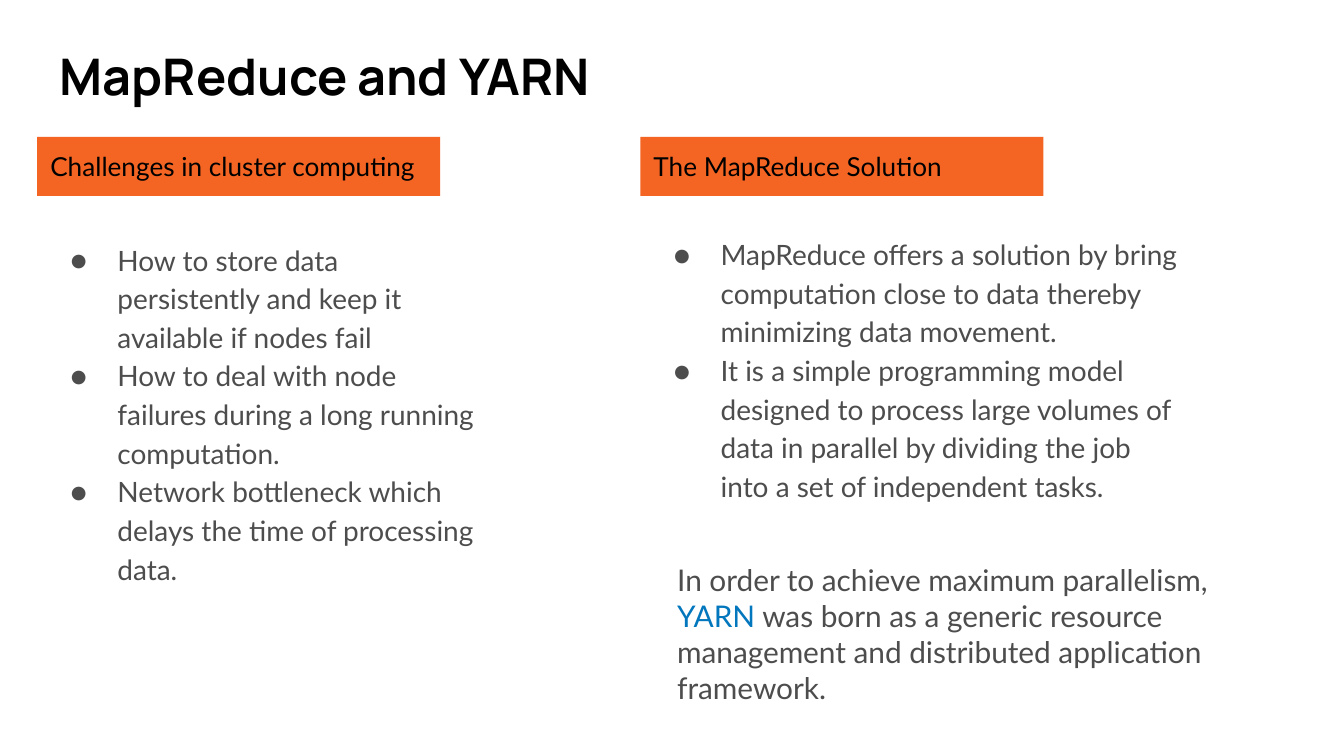
"""Build the MapReduce and YARN slide."""
from dataclasses import dataclass

from lxml.etree import SubElement
from pptx import Presentation
from pptx.dml.color import RGBColor as Color
from pptx.enum.shapes import MSO_SHAPE as Preset
from pptx.enum.text import MSO_ANCHOR as Anchor, PP_ALIGN as Align
from pptx.oxml.ns import qn
from pptx.util import Inches, Pt


@dataclass(frozen=True)
class Theme:
    ink: str = "000000"
    body: str = "4D4D4D"
    accent: str = "F46524"
    term: str = "0277BD"
    title_font: str = "Manrope"
    text_font: str = "Lato"
    title_size: int = 27
    heading_size: int = 14
    bullet_size: int = 15
    closing_size: int = 16


THEME = Theme()
TITLE = "MapReduce and YARN"
COLUMNS = [
    {
        "heading": "Challenges in cluster computing",
        "points": [
            "How to store data persistently and keep it available if nodes fail",
            "How to deal with node failures during a long running computation.",
            "Network bottleneck which delays the time of processing data.",
        ],
        "points_area": (29.72, 34.4, 49.47),
    },
    {
        "heading": "The MapReduce Solution",
        "points": [
            "MapReduce offers a solution by bring computation close to data "
            "thereby minimizing data movement.",
            "It is a simple programming model designed to process large volumes "
            "of data in parallel by dividing the job into a set of independent tasks.",
        ],
        "points_area": (29, 41.3, 39.15),
    },
]
CLOSING = [
    ("In order to achieve maximum parallelism, ", THEME.body),
    ("YARN", THEME.term),
    (" was born as a generic resource management and distributed "
     "application framework.", THEME.body),
]

WIDTH = Inches(10)
HEIGHT = WIDTH * 9 // 16
COLUMN_LEFT, COLUMN_PITCH = 2.76, 44.88
HEADING_TOP, HEADING_WIDTH, HEADING_HEIGHT = 18.13, 30, 7.8
TITLE_AREA = (3.45, 4.2, 93.2, 12.46)
CLOSING_AREA = (49.4, 72.58, 44.1, 22.78)


def place(left, top, width, height):
    """Turn percentages of the slide into lengths."""
    return (int(WIDTH * left / 100), int(HEIGHT * top / 100),
            int(WIDTH * width / 100), int(HEIGHT * height / 100))


def add_bullet(paragraph, font, size):
    """Give a paragraph a hanging round bullet."""
    properties = paragraph._p.get_or_add_pPr()
    properties.set("marL", str(Inches(0.5)))
    properties.set("indent", str(-Inches(0.35)))
    tint = SubElement(properties, qn("a:buClr"))
    SubElement(tint, qn("a:srgbClr"), val=THEME.body)
    SubElement(properties, qn("a:buSzPts"), val=str(size * 100))
    SubElement(properties, qn("a:buFont"), typeface=font)
    SubElement(properties, qn("a:buChar"), char="●")


def write(slide, paragraphs, area, *, size, font=THEME.text_font, bold=False,
          fill=None, bullets=False, spacing=None):
    """Write paragraphs of (text, colour) runs in a box, filled if asked."""
    if fill:
        box = slide.shapes.add_shape(Preset.RECTANGLE, *place(*area))
        box.shadow.inherit = False
        box.fill.solid()
        box.fill.fore_color.rgb = Color.from_string(fill)
        box.line.fill.background()
    else:
        box = slide.shapes.add_textbox(*place(*area))
    frame = box.text_frame
    frame.word_wrap = True
    frame.vertical_anchor = Anchor.TOP
    frame.margin_left = frame.margin_right = Inches(0.1)
    frame.margin_top = frame.margin_bottom = Inches(0.1)
    for index, pieces in enumerate(paragraphs):
        paragraph = frame.add_paragraph() if index else frame.paragraphs[0]
        if bullets:
            add_bullet(paragraph, font, size)
        paragraph.alignment = Align.LEFT
        if spacing:
            paragraph.line_spacing = spacing
        for text, colour in pieces:
            run = paragraph.add_run()
            run.text = text
            run.font.name = font
            run.font.size = Pt(size)
            run.font.bold = bold
            run.font.color.rgb = Color.from_string(colour)


def main():
    """Lay out the title, both columns and the closing statement."""
    deck = Presentation()
    deck.slide_width, deck.slide_height = WIDTH, HEIGHT
    slide = deck.slides.add_slide(deck.slide_layouts[6])
    write(slide, [[(TITLE, THEME.ink)]], TITLE_AREA,
          size=THEME.title_size, font=THEME.title_font, bold=True)
    for index, column in enumerate(COLUMNS):
        left = COLUMN_LEFT + index * COLUMN_PITCH
        write(slide, [[(point, THEME.body)] for point in column["points"]],
              (left, *column["points_area"]),
              size=THEME.bullet_size, bullets=True, spacing=1.15)
        write(slide, [[(column["heading"], THEME.ink)]],
              (left, HEADING_TOP, HEADING_WIDTH, HEADING_HEIGHT),
              size=THEME.heading_size, fill=THEME.accent)
    write(slide, [CLOSING], CLOSING_AREA, size=THEME.closing_size)
    deck.save("out.pptx")


if __name__ == "__main__":
    main()
